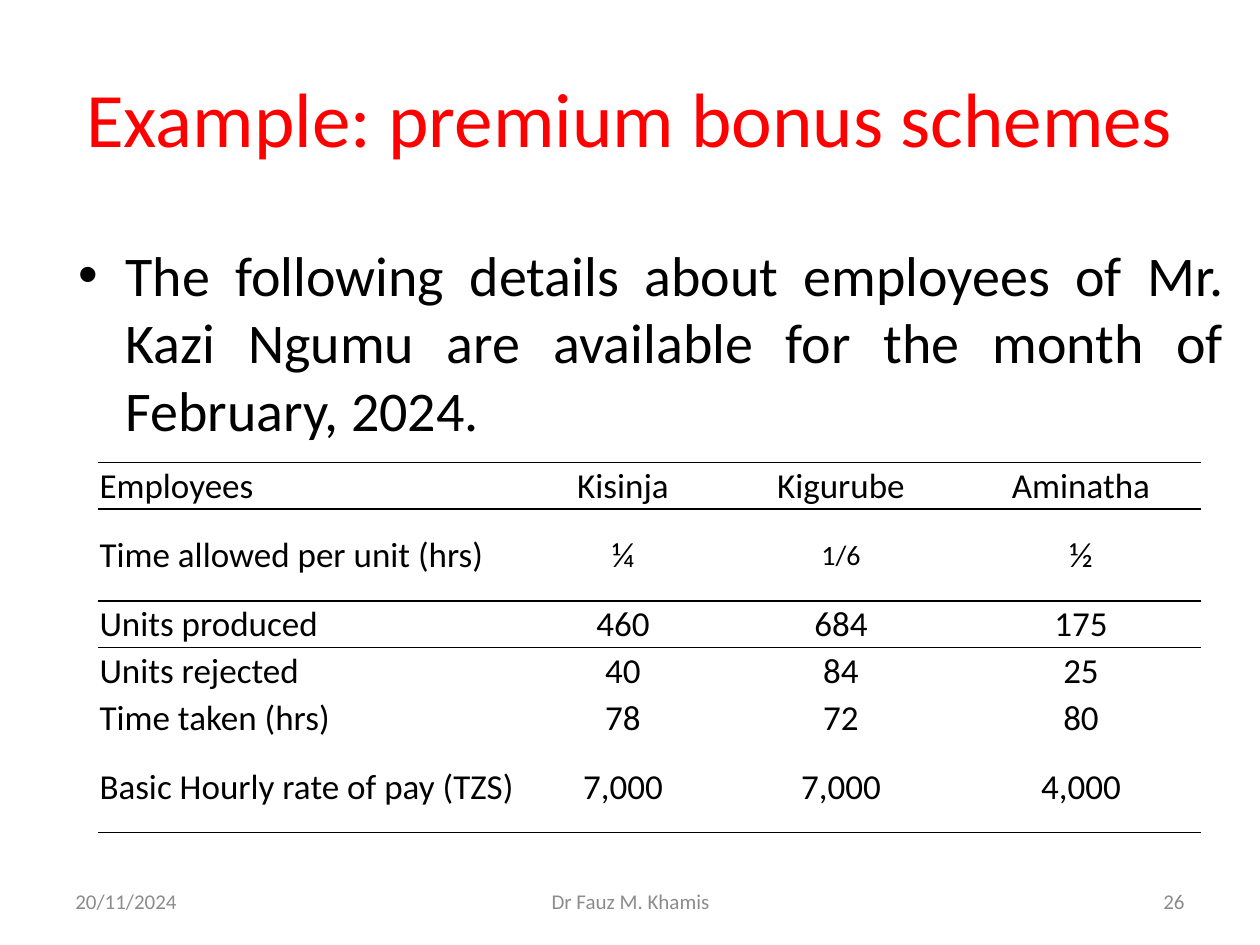
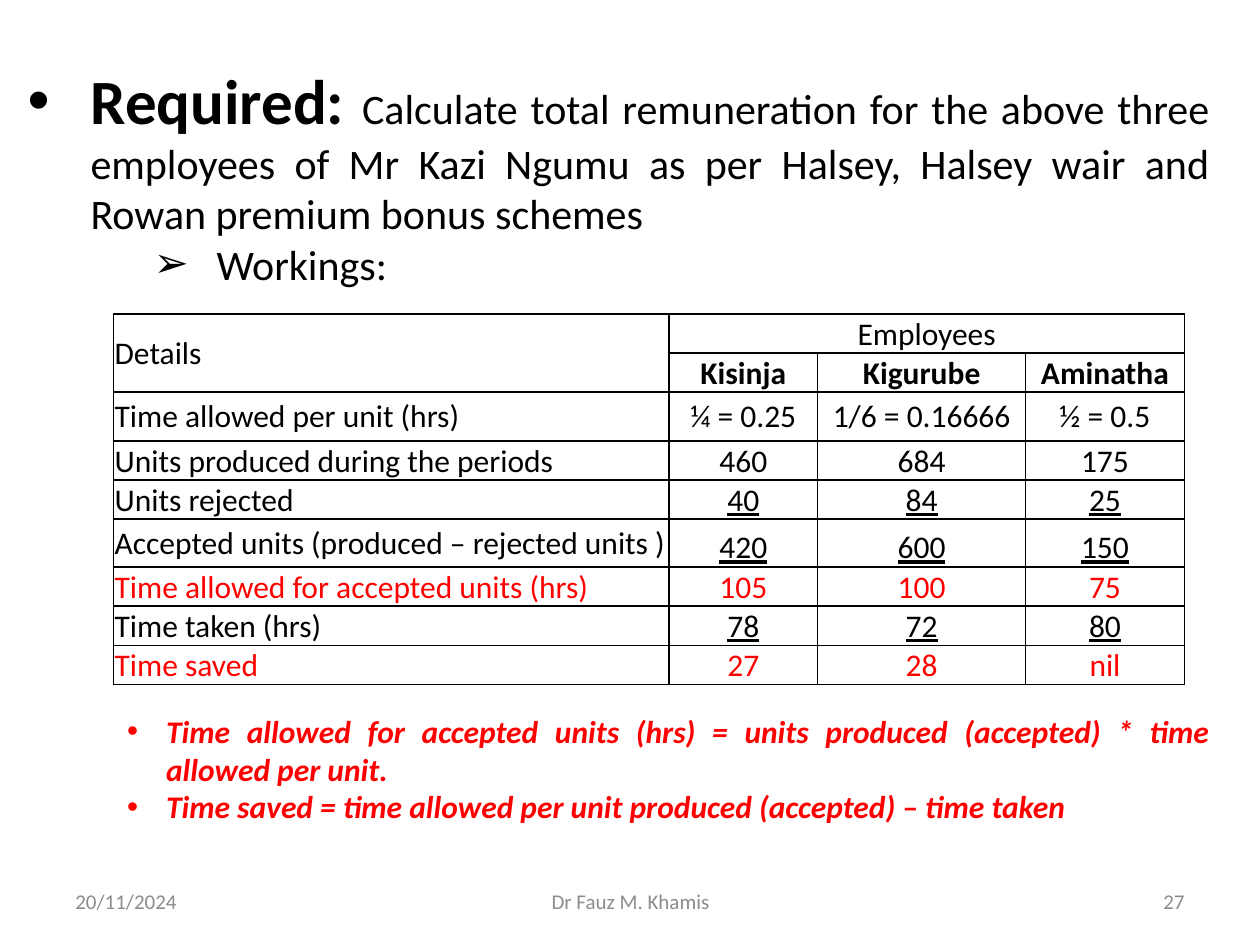
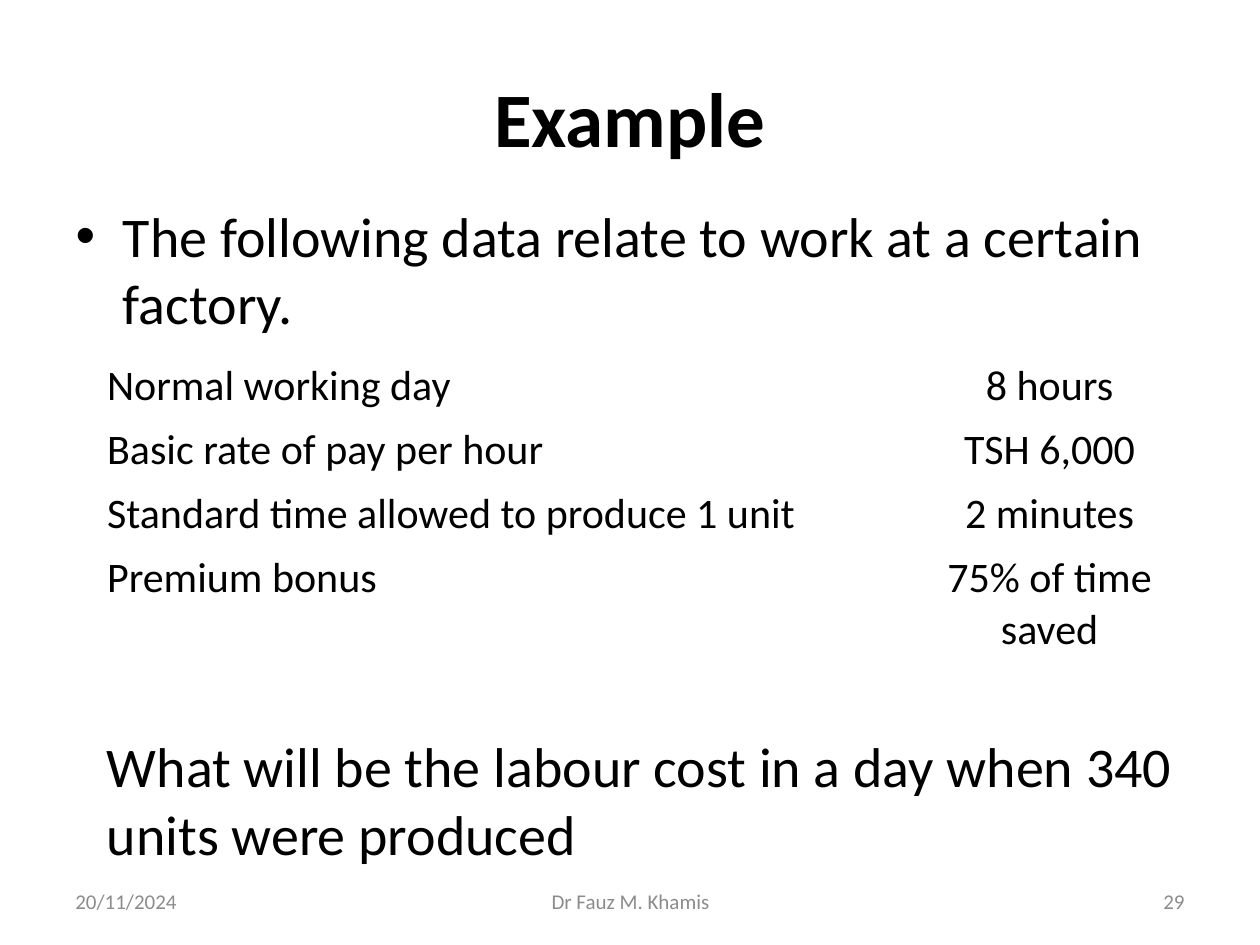
from lxml import etree
from pptx import Presentation
from pptx.dml.color import RGBColor
from pptx.enum.text import MSO_ANCHOR, PP_ALIGN
from pptx.oxml.ns import qn
from pptx.util import Inches, Pt

LEFT, CENTER, RIGHT, JUSTIFY = PP_ALIGN.LEFT, PP_ALIGN.CENTER, PP_ALIGN.RIGHT, PP_ALIGN.JUSTIFY
TOP, MIDDLE, BOTTOM = MSO_ANCHOR.TOP, MSO_ANCHOR.MIDDLE, MSO_ANCHOR.BOTTOM
COLORS = {"text": "000000", "accent": "FF0000", "footer": "8C8C8C"}
FONT = "Calibri"
GRID_COLUMNS, GRID_ROWS = 100, 75
CONTENT_LAYOUT, BLANK_LAYOUT = 1, 6
PLAIN_TABLE = "{2D5ABB26-0587-4C30-8999-92F81FD0307C}"
TIGHT = (0.01, 0.01, 0.01, 0)
ROOMY = (0.1, 0.05, 0.1, 0.05)
EMPLOYEES = ["Kisinja", "Kigurube", "Aminatha"]


class Deck:
    def __init__(self):
        self.deck = Presentation()
        self.deck.slide_width, self.deck.slide_height = Inches(10), Inches(7.5)
        self.slide = None

    def across(self, columns):
        return round(self.deck.slide_width * columns / GRID_COLUMNS)

    def down(self, rows):
        return round(self.deck.slide_height * rows / GRID_ROWS)

    def area(self, left, top, width, height):
        return self.across(left), self.down(top), self.across(width), self.down(height)

    def new_slide(self, layout, number):
        self.slide = self.deck.slides.add_slide(self.deck.slide_layouts[layout])
        footers = [(5, 23.3, "20/11/2024", LEFT), (34.2, 31.7, "Dr Fauz M. Khamis", CENTER),
                   (71.7, 23.3, str(number), RIGHT)]
        for left, width, text, align in footers:
            frame = self.text_box((left, 69.5, width, 4), MIDDLE)
            self.set_text(frame.paragraphs[0], text, 12, "footer", align)

    def style(self, font, size, color="text", bold=False, italic=False, underline=False):
        font.name, font.size = FONT, Pt(size)
        font.bold, font.italic, font.underline = bold, italic, underline
        font.color.rgb = RGBColor.from_string(COLORS[color])

    def set_text(self, para, text, size, color="text", align=LEFT, **marks):
        para.alignment = align
        para.add_run().text = text
        self.style(para.font, size, color, **marks)

    def bullet(self, para, symbol, indent, hanging):
        properties = para._p.get_or_add_pPr()
        properties.set("marL", str(Inches(indent)))
        properties.set("indent", str(-Inches(hanging)))
        etree.SubElement(properties, qn("a:buFont")).set("typeface", "Arial")
        etree.SubElement(properties, qn("a:buChar")).set("char", symbol)

    def text_box(self, place, anchor=TOP):
        frame = self.slide.shapes.add_textbox(*self.area(*place)).text_frame
        frame.word_wrap = True
        frame.vertical_anchor = anchor
        return frame

    def title(self, text, color="text", bold=False):
        title = self.slide.shapes.title
        title.left, title.top, title.width, title.height = self.area(5, 3, 90, 12.5)
        self.set_text(title.text_frame.paragraphs[0], text, 44, color, CENTER, bold=bold)

    def body(self, place, text, align=LEFT):
        body = self.slide.placeholders[1]
        body.left, body.top, body.width, body.height = self.area(*place)
        self.set_text(body.text_frame.paragraphs[0], text, 32, align=align)

    def border(self, cell, sides):
        properties = cell._tc.get_or_add_tcPr()
        for side in sides:
            line = etree.SubElement(properties, qn("a:ln" + side), w=str(Pt(1)))
            fill = etree.SubElement(line, qn("a:solidFill"))
            etree.SubElement(fill, qn("a:srgbClr"), val=COLORS["text"])

    def table(self, left, top, widths, heights, entries, look):
        frame = self.slide.shapes.add_table(
            len(heights), len(widths), *self.area(left, top, sum(widths), sum(heights)))
        table = frame.table
        table.first_row = table.horz_banding = False
        table._tbl.tblPr.find(qn("a:tableStyleId")).text = PLAIN_TABLE
        for column, width in zip(table.columns, widths):
            column.width = self.across(width)
        for row, height in zip(table.rows, heights):
            row.height = self.down(height)
        for row, texts in enumerate(entries):
            for column, text in enumerate(texts):
                self.fill_cell(table.cell(row, column), text, **look(row, column))
        return table

    def fill_cell(self, cell, text, size, align, anchor=MIDDLE, inset=TIGHT, sides="", **marks):
        self.border(cell, sides)
        cell.fill.background()
        cell.vertical_anchor = anchor
        cell.margin_left, cell.margin_top, cell.margin_right, cell.margin_bottom = map(Inches, inset)
        if text:
            self.set_text(cell.text_frame.paragraphs[0], text, size, align=align, **marks)


def label_align(column):
    return CENTER if column else JUSTIFY


def bonus_data(deck):
    deck.new_slide(CONTENT_LAYOUT, 26)
    deck.title("Example: premium bonus schemes", "accent")
    deck.body((5.2, 18.6, 93, 16.5), "The following details about employees of Mr. Kazi Ngumu "
              "are available for the month of February, 2024.", JUSTIFY)
    entries = [["Employees", *EMPLOYEES],
               ["Time allowed per unit (hrs)", "¼", "1/6", "½"],
               ["Units produced", "460", "684", "175"],
               ["Units rejected", "40", "84", "25"],
               ["Time taken (hrs)", "78", "72", "80"],
               ["Basic Hourly rate of pay (TZS)", "7,000", "7,000", "4,000"]]
    ruled = {0: "TB", 1: "TB", 2: "T", 5: "B"}

    def look(row, column):
        return {"size": 16 if (row, column) == (1, 2) else 20,
                "align": label_align(column), "sides": ruled.get(row, "")}

    deck.table(7.8, 36.7, [33.9, 15.5, 19.1, 19], [3.7, 7.3, 3.7, 3.7, 3.7, 7.3], entries, look)


def bonus_workings(deck):
    deck.new_slide(BLANK_LAYOUT, 27)
    frame = deck.text_box((1.2, 4.4, 95.8, 19.2))
    required, workings = frame.paragraphs[0], frame.add_paragraph()
    deck.bullet(required, "•", 0.5, 0.5)
    required.alignment = JUSTIFY
    spans = [("Required: ", 36, True),
             ("Calculate total remuneration for the above three employees of Mr Kazi Ngumu "
              "as per Halsey, Halsey wair and Rowan premium bonus schemes", 24, False)]
    for text, size, bold in spans:
        span = required.add_run()
        span.text = text
        deck.style(span.font, size, bold=bold)
    workings.level = 2
    deck.bullet(workings, "➢", 1.5, 0.5)
    deck.set_text(workings, "Workings:", 24, align=JUSTIFY)

    entries = [["Details", "Employees", "", ""],
               ["", *EMPLOYEES],
               ["Time allowed per unit (hrs)", "¼ = 0.25", "1/6 = 0.16666", "½ = 0.5"],
               ["Units produced during the periods", "460", "684", "175"],
               ["Units rejected", "40", "84", "25"],
               ["Accepted units (produced – rejected units )", "420", "600", "150"],
               ["Time allowed for accepted units (hrs)", "105", "100", "75"],
               ["Time taken (hrs)", "78", "72", "80"],
               ["Time saved", "27", "28", "nil"]]

    def look(row, column):
        return {"size": 18, "align": label_align(column), "sides": "LRTB", "bold": row == 1,
                "color": "accent" if row in (6, 8) else "text",
                "underline": column > 0 and row in (4, 5, 7),
                "anchor": BOTTOM if column and row in (5, 6, 8) else MIDDLE}

    heights = [{2: 3.9, 5: 3.8}.get(row, 2.9) for row in range(len(entries))]
    table = deck.table(9, 24.9, [44.1, 11.8, 16.5, 12.6], heights, entries, look)
    table.cell(0, 0).merge(table.cell(1, 0))
    table.cell(0, 1).merge(table.cell(0, 3))

    frame = deck.text_box((9.1, 56, 87.9, 10.1))
    formulas = ["Time allowed for accepted units (hrs) = units produced (accepted) * time allowed per unit.",
                "Time saved = time allowed per unit produced (accepted) – time taken"]
    for para, text in zip([frame.paragraphs[0], frame.add_paragraph()], formulas):
        deck.bullet(para, "•", 0.31, 0.31)
        deck.set_text(para, text, 18, "accent", JUSTIFY, bold=True, italic=True)


def factory_example(deck):
    deck.new_slide(CONTENT_LAYOUT, 29)
    deck.title("Example", bold=True)
    deck.body((5, 15.5, 90, 49.5), "The following data relate to work at a certain factory.")
    entries = [["Normal working day", "8 hours"],
               ["Basic rate of pay per hour", "TSH 6,000"],
               ["Standard time allowed to produce 1 unit", "2 minutes"],
               ["Premium bonus", "75% of time saved"]]

    def look(row, column):
        return {"size": 24, "align": CENTER if column else LEFT, "anchor": TOP, "inset": ROOMY}

    deck.table(7.5, 28.1, [62.6, 26.4], [5.1, 5.1, 5.1, 8.7], entries, look)
    frame = deck.text_box((7.5, 57.6, 89, 11.8))
    deck.set_text(frame.paragraphs[0],
                  "What will be the labour cost in a day when 340 units were produced", 32)


def main():
    deck = Deck()
    bonus_data(deck)
    bonus_workings(deck)
    factory_example(deck)
    deck.deck.save("out.pptx")


if __name__ == "__main__":
    main()
